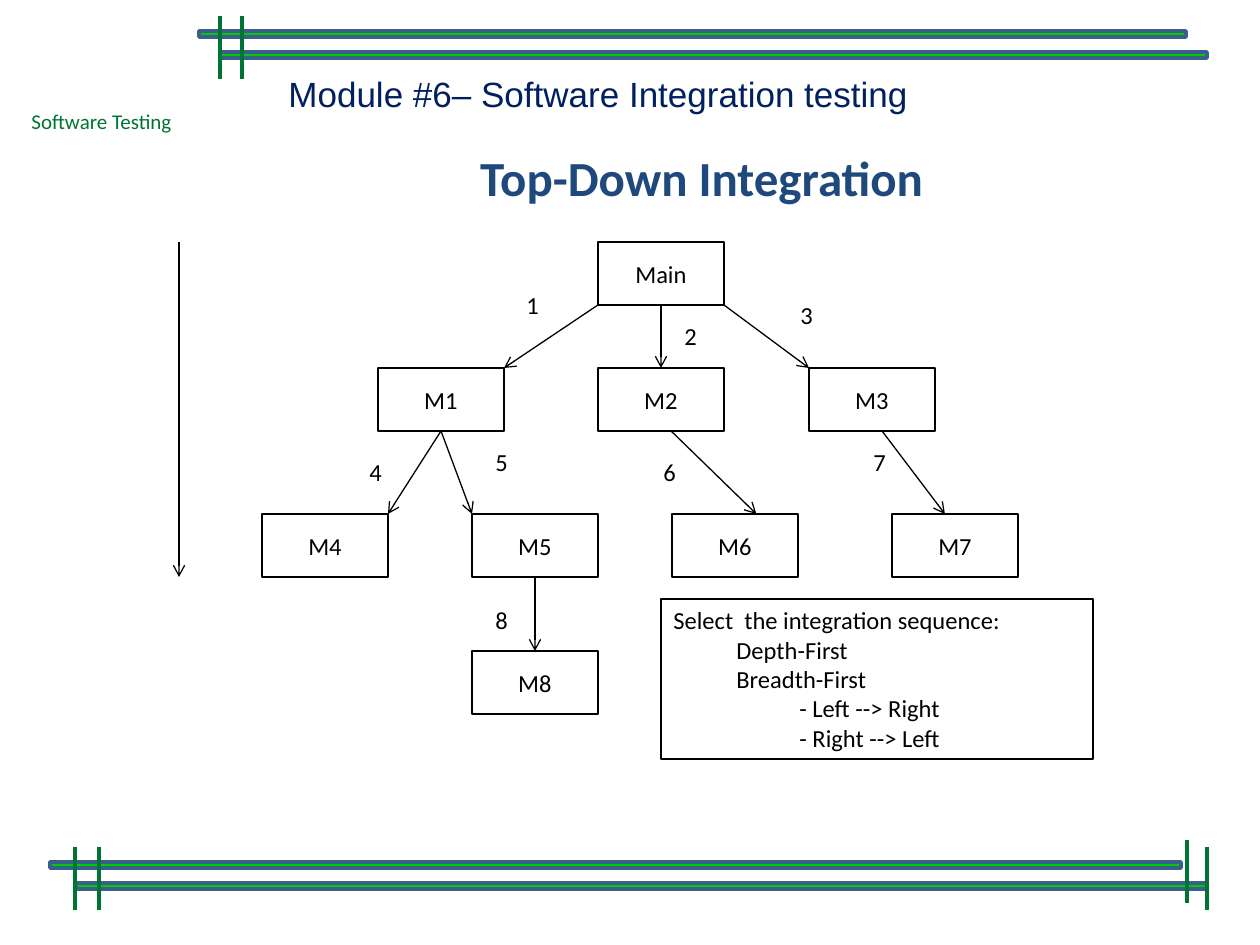
import dataclasses
import pptx
import pptx.dml.color
import pptx.enum.shapes
import pptx.enum.text
import pptx.oxml
import pptx.oxml.ns
import pptx.util

SHAPES = pptx.enum.shapes.MSO_SHAPE
ALIGN = pptx.enum.text.PP_ALIGN
ANCHOR = pptx.enum.text.MSO_ANCHOR
AUTO_SIZE = pptx.enum.text.MSO_AUTO_SIZE


@dataclasses.dataclass(frozen=True)
class TextStyle:
    size: int
    color: str
    font: str = "Calibri"
    bold: bool = False


@dataclasses.dataclass(frozen=True)
class Theme:
    paper: str = "FFFFFF"
    ink: str = "000000"
    green: str = "007434"
    rail_fill: str = "00CC00"
    rail_edge: str = "3A5F8C"
    thin: float = 0.75
    rail_line: float = 2
    post_line: float = 2.25
    course: TextStyle = TextStyle(12, "007434")
    module: TextStyle = TextStyle(20, "002060", "Arial")
    headline: TextStyle = TextStyle(28, "1F497D", bold=True)
    body: TextStyle = TextStyle(14, "000000")


THEME = Theme()
PX_PER_INCH = 126
NODE_WIDTH, NODE_HEIGHT = 126, 63
POST_HEIGHT = 63
RAIL_HEIGHT = 6

RAILS = [(199, 31, 987), (220, 52, 987), (50, 862, 1131), (76, 883, 1131)]
POSTS = [(220, 16), (242, 16), (75, 847), (99, 847), (1207, 847), (1187, 840)]
LEVELS = [
    (242, {"Main": 598}),
    (368, {"M1": 378, "M2": 598, "M3": 809}),
    (514, {"M4": 262, "M5": 472, "M6": 672, "M7": 892}),
    (651, {"M8": 472}),
]
CALLS = [
    ("Main", 0, "M1", 1), ("Main", 0.5, "M2", 0.5), ("Main", 1, "M3", 0),
    ("M1", 0.5, "M4", 1), ("M1", 0.5, "M5", 0),
    ("M2", 0.58, "M6", 0.67), ("M3", 0.58, "M7", 0.42),
    ("M5", 0.5, "M8", 0.5),
]
STEP_PLACES = [(514, 284), (672, 315), (788, 294), (357, 451),
               (483, 441), (651, 451), (861, 441), (483, 599)]
SEQUENCE = ["Select  the integration sequence:", "\tDepth-First", "\tBreadth-First",
            "\t\t- Left --> Right", "\t\t- Right --> Left"]


def px(length):
    return pptx.util.Emu(round(length * 914400 / PX_PER_INCH))


def rgb(value):
    return pptx.dml.color.RGBColor.from_string(value)


def add_box(slide, place, fill=None, edge=None, weight=0, kind=SHAPES.RECTANGLE):
    box = slide.shapes.add_shape(kind, *map(px, place))
    box.shadow.inherit = False
    if fill:
        box.fill.solid()
        box.fill.fore_color.rgb = rgb(fill)
    else:
        box.fill.background()
    if edge:
        box.line.color.rgb = rgb(edge)
        box.line.width = pptx.util.Pt(weight)
    else:
        box.line.fill.background()
    return box


def write(box, lines, style, align=ALIGN.LEFT, anchor=ANCHOR.TOP, wrap=False, grow=False):
    frame = box.text_frame
    frame.word_wrap = wrap
    frame.vertical_anchor = anchor
    frame.auto_size = AUTO_SIZE.SHAPE_TO_FIT_TEXT if grow else AUTO_SIZE.NONE
    for number, line in enumerate(lines):
        paragraph = frame.add_paragraph() if number else frame.paragraphs[0]
        paragraph.alignment = align
        run = paragraph.add_run()
        run.text = line
        run.font.name = style.font
        run.font.size = pptx.util.Pt(style.size)
        run.font.bold = style.bold
        run.font.color.rgb = rgb(style.color)
    return frame


def add_label(slide, place, text, style):
    write(slide.shapes.add_textbox(*map(px, place)), [text], style, grow=True)


def add_line(slide, start, end, color, weight, arrow=False):
    line = slide.shapes.add_connector(
        pptx.enum.shapes.MSO_CONNECTOR.STRAIGHT, *map(px, (*start, *end)))
    line.line.color.rgb = rgb(color)
    line.line.width = pptx.util.Pt(weight)
    if arrow:
        pptx.oxml.ns.qn("a:tailEnd")
        head = line.line._get_or_add_ln().makeelement(
            pptx.oxml.ns.qn("a:tailEnd"), {"type": "arrow"})
        line.line._get_or_add_ln().append(head)
    properties = line._element.spPr
    properties.append(properties.makeelement(pptx.oxml.ns.qn("a:effectLst"), {}))


def add_frame(slide):
    for left, top, width in RAILS:
        add_box(slide, (left, top, width, RAIL_HEIGHT), THEME.rail_fill,
                THEME.rail_edge, THEME.rail_line, SHAPES.FLOWCHART_PROCESS)
    for left, top in POSTS:
        add_line(slide, (left, top), (left, top + POST_HEIGHT), THEME.green, THEME.post_line)


def add_headings(slide):
    add_label(slide, (19, 102, 168, 38), "Software Testing", THEME.course)
    module = add_box(slide, (276, 66, 795, 55), THEME.paper)
    write(module, ["Module #6– Software Integration testing"], THEME.module, grow=True)
    headline = add_box(slide, (276, 146, 851, 69), THEME.paper)
    frame = write(headline, ["Top-Down Integration"], THEME.headline,
                  ALIGN.CENTER, ANCHOR.MIDDLE, wrap=True)
    frame.margin_left = frame.margin_right = px(20)
    frame.margin_top = frame.margin_bottom = px(20)
    frame.paragraphs[0].line_spacing = 0.9


def add_module_tree(slide):
    corners = {}
    for top, modules in LEVELS:
        for module, left in modules.items():
            corners[module] = (left, top)
            node = add_box(slide, (left, top, NODE_WIDTH, NODE_HEIGHT),
                           THEME.paper, THEME.ink, THEME.thin)
            write(node, [module], THEME.body, ALIGN.CENTER, ANCHOR.MIDDLE)
    for caller, exit_share, callee, entry_share in CALLS:
        caller_left, caller_top = corners[caller]
        callee_left, callee_top = corners[callee]
        add_line(slide, (caller_left + exit_share * NODE_WIDTH, caller_top + NODE_HEIGHT),
                 (callee_left + entry_share * NODE_WIDTH, callee_top),
                 THEME.ink, THEME.thin, arrow=True)
    for step, (left, top) in enumerate(STEP_PLACES, 1):
        add_label(slide, (left, top, 38, 42), str(step), THEME.body)


def main():
    deck = pptx.Presentation()
    deck.slide_width, deck.slide_height = px(1260), px(945)
    slide = deck.slides.add_slide(deck.slide_layouts[6])
    add_frame(slide)
    add_headings(slide)
    add_module_tree(slide)
    add_line(slide, (179, 242), (179, 577), THEME.ink, THEME.thin, arrow=True)
    sequence = add_box(slide, (661, 599, 432, 160), edge=THEME.ink, weight=THEME.thin)
    write(sequence, SEQUENCE, THEME.body, grow=True)
    deck.save("out.pptx")


if __name__ == "__main__":
    main()
